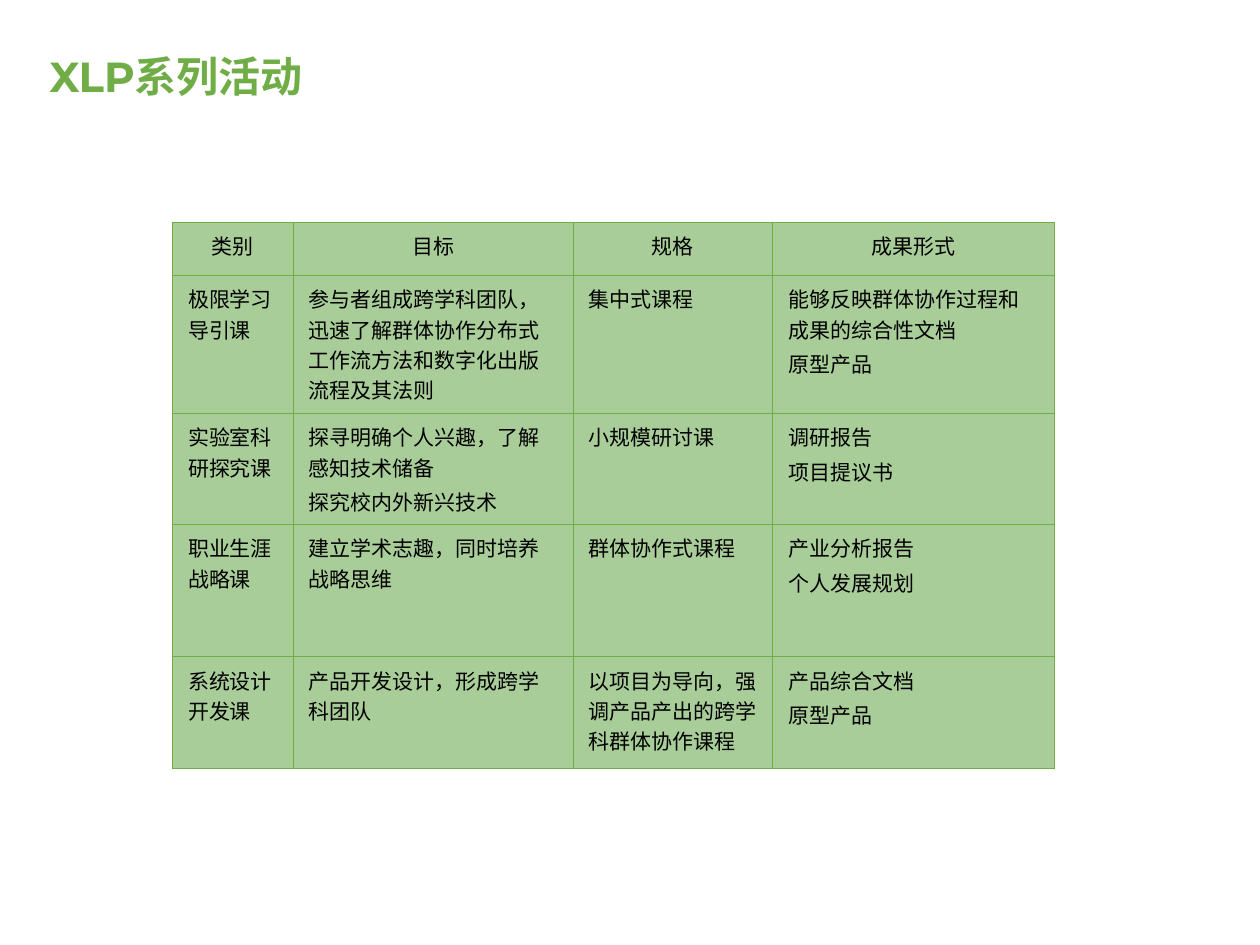
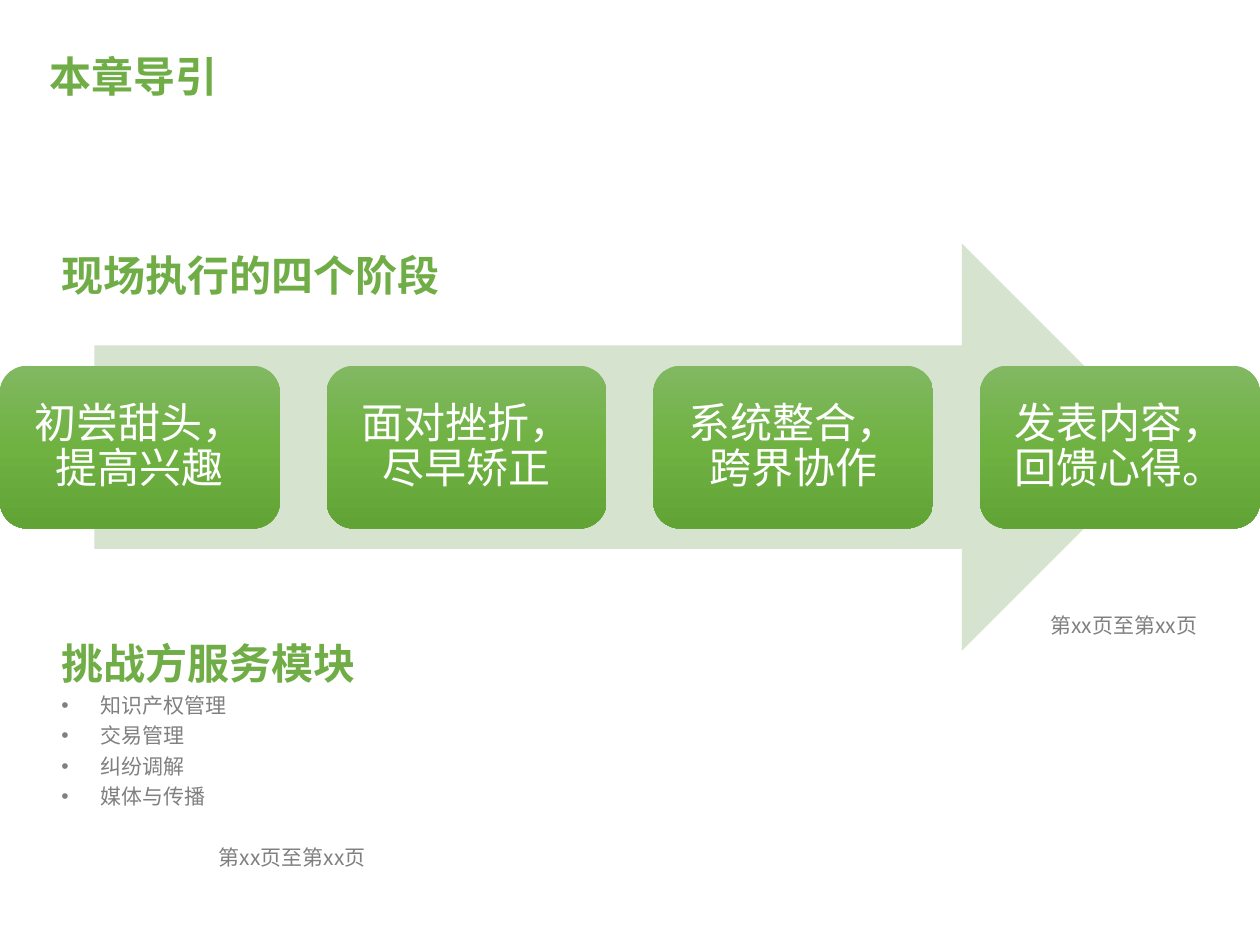
from copy import deepcopy

from lxml import etree
from pptx import Presentation
from pptx.dml.color import RGBColor
from pptx.enum import shapes, text
from pptx.oxml import ns
from pptx.util import Pt

GREEN, GREY, BLACK, WHITE = "70AD47", "808080", "000000", "FFFFFF"
CELL_FILL, ARROW_FILL = "A9CD99", "D5E3CF"
NOTO = "Noto Sans CJK SC"


def rgb(value):
    return RGBColor.from_string(value)


def style(p, size, color, name=NOTO, bold=False, align=text.PP_ALIGN.LEFT, spacing=1.0):
    p.alignment = align
    p.line_spacing = spacing
    for r in p.runs:
        r.font.size, r.font.bold, r.font.name = Pt(size), bold, name
        r.font.color.rgb = rgb(color)
        ea = etree.SubElement(r._r.get_or_add_rPr(), ns.qn("a:ea"))
        ea.set("typeface", NOTO)


prs = Presentation()
prs.slide_width, prs.slide_height = Pt(720), Pt(540)

# Slides with their shared title
slides = []
for title in ["XLP系列活动", "本章导引"]:
    s = prs.slides.add_slide(prs.slide_layouts[6])
    tf = s.shapes.add_textbox(Pt(0), Pt(19.2), Pt(720), Pt(42.5)).text_frame
    tf.word_wrap = True
    tf.margin_left = Pt(28.4)
    tf.vertical_anchor = text.MSO_ANCHOR.BOTTOM
    tf.text = title
    style(tf.paragraphs[0], 24, GREEN, "Montserrat", True, spacing=0.9)
    slides.append(s)
activities, guide = slides

# Slide 1: activity table
rows = [
    ["类别", "目标", "规格", "成果形式"],
    ["极限学习导引课", "参与者组成跨学科团队，迅速了解群体协作分布式工作流方法和数字化出版流程及其法则",
     "集中式课程", "能够反映群体协作过程和成果的综合性文档\n原型产品"],
    ["实验室科研探究课", "探寻明确个人兴趣，了解感知技术储备\n探究校内外新兴技术",
     "小规模研讨课", "调研报告\n项目提议书"],
    ["职业生涯战略课", "建立学术志趣，同时培养战略思维",
     "群体协作式课程", "产业分析报告\n个人发展规划"],
    ["系统设计开发课", "产品开发设计，形成跨学科团队",
     "以项目为导向，强调产品产出的跨学科群体协作课程", "产品综合文档\n原型产品"],
]
widths = [69, 160, 114, 161]
heights = [30.5, 79, 63.5, 75.5, 63.5]
table = activities.shapes.add_table(len(rows), len(widths), Pt(98.6), Pt(126.9),
                                    Pt(sum(widths)), Pt(sum(heights))).table
for column, width in zip(table.columns, widths):
    column.width = Pt(width)
for i, row in enumerate(rows):
    table.rows[i].height = Pt(heights[i])
    for j, content in enumerate(row):
        cell = table.cell(i, j)
        cell.margin_left = cell.margin_right = Pt(8.9)
        cell.margin_top = cell.margin_bottom = Pt(4.5)
        cell.text_frame.text = content
        for k, p in enumerate(cell.text_frame.paragraphs):
            style(p, 12, BLACK, NOTO if j == 3 else "Arial",
                  align=text.PP_ALIGN.LEFT if i else text.PP_ALIGN.CENTER)
            if k:
                p.space_before = Pt(2.4)
        # Borders come before the fill in the cell properties
        tcPr = cell._tc.get_or_add_tcPr()
        for side in ["lnL", "lnR", "lnT", "lnB"]:
            ln = etree.SubElement(tcPr, ns.qn(f"a:{side}"), w=str(Pt(0.5)))
            solid = etree.SubElement(ln, ns.qn("a:solidFill"))
            etree.SubElement(solid, ns.qn("a:srgbClr"), val=GREEN)
        cell.fill.solid()
        cell.fill.fore_color.rgb = rgb(CELL_FILL)

# Slide 2: service modules
tf = guide.shapes.add_textbox(Pt(28), Pt(346.3), Pt(188), Pt(155.5)).text_frame
tf.word_wrap = True
modules = ["知识产权管理", "交易管理", "纠纷调解", "媒体与传播"]
tf.text = "\n".join(["挑战方服务模块", *modules, "第xx页至第xx页"])
heading, *items, pages = tf.paragraphs
style(heading, 24, GREEN, bold=True, spacing=1.5)
for p in items:
    pPr = p._p.get_or_add_pPr()
    pPr.set("marL", str(Pt(22.5)))
    pPr.set("indent", str(-Pt(22.5)))
    etree.SubElement(pPr, ns.qn("a:buFont"), typeface="Arial")
    etree.SubElement(pPr, ns.qn("a:buChar"), char="•")
    style(p, 12, GREY, spacing=1.2)
style(pages, 12, GREY, align=text.PP_ALIGN.RIGHT, spacing=1.2)
pages.space_before = Pt(17.4)

# Background arrow
sp = guide.shapes.add_shape(shapes.MSO_SHAPE.RIGHT_ARROW, Pt(54), Pt(139.2), Pt(612), Pt(232.6))
sp.shadow.inherit = False
sp.fill.solid()
sp.fill.fore_color.rgb = rgb(ARROW_FILL)
sp.line.fill.background()

# Four stages, spread evenly over the slide width
stages = ["初尝甜头，提高兴趣", "面对挫折，尽早矫正", "系统整合，跨界协作", "发表内容，回馈心得。"]
stage_w = 160
step = (720 - stage_w) / (len(stages) - 1)
for i, stage in enumerate(stages):
    sp = guide.shapes.add_shape(shapes.MSO_SHAPE.ROUNDED_RECTANGLE,
                                Pt(i * step), Pt(209), Pt(stage_w), Pt(93))
    sp.shadow.inherit = False
    sp.line.fill.background()
    sp.fill.gradient()
    sp.fill.gradient_angle = 270
    stops = sp._element.spPr.find(".//" + ns.qn("a:gsLst"))
    stops.insert(1, deepcopy(stops[0]))
    for stop, position, color in zip(sp.fill.gradient_stops, [0, 0.5, 1],
                                     ["81B861", "6FB242", "62A336"]):
        stop.position = position
        stop.color.rgb = rgb(color)
    tf = sp.text_frame
    tf.word_wrap = True
    tf.vertical_anchor = text.MSO_ANCHOR.MIDDLE
    tf.margin_left = tf.margin_right = tf.margin_top = tf.margin_bottom = Pt(7.2)
    tf.text = stage
    style(tf.paragraphs[0], 24, WHITE, align=text.PP_ALIGN.CENTER, spacing=0.9)

# Page reference and stage heading
tf = guide.shapes.add_textbox(Pt(591.8), Pt(346.3), Pt(99.4), Pt(21.6)).text_frame
tf.word_wrap = True
tf.text = "第xx页至第xx页"
style(tf.paragraphs[0], 12, GREY, align=text.PP_ALIGN.RIGHT)

tf = guide.shapes.add_textbox(Pt(28), Pt(139), Pt(232.6), Pt(36)).text_frame
tf.word_wrap = True
tf.text = "现场执行的四个阶段"
style(tf.paragraphs[0], 24, GREEN, bold=True)

prs.save("out.pptx")
